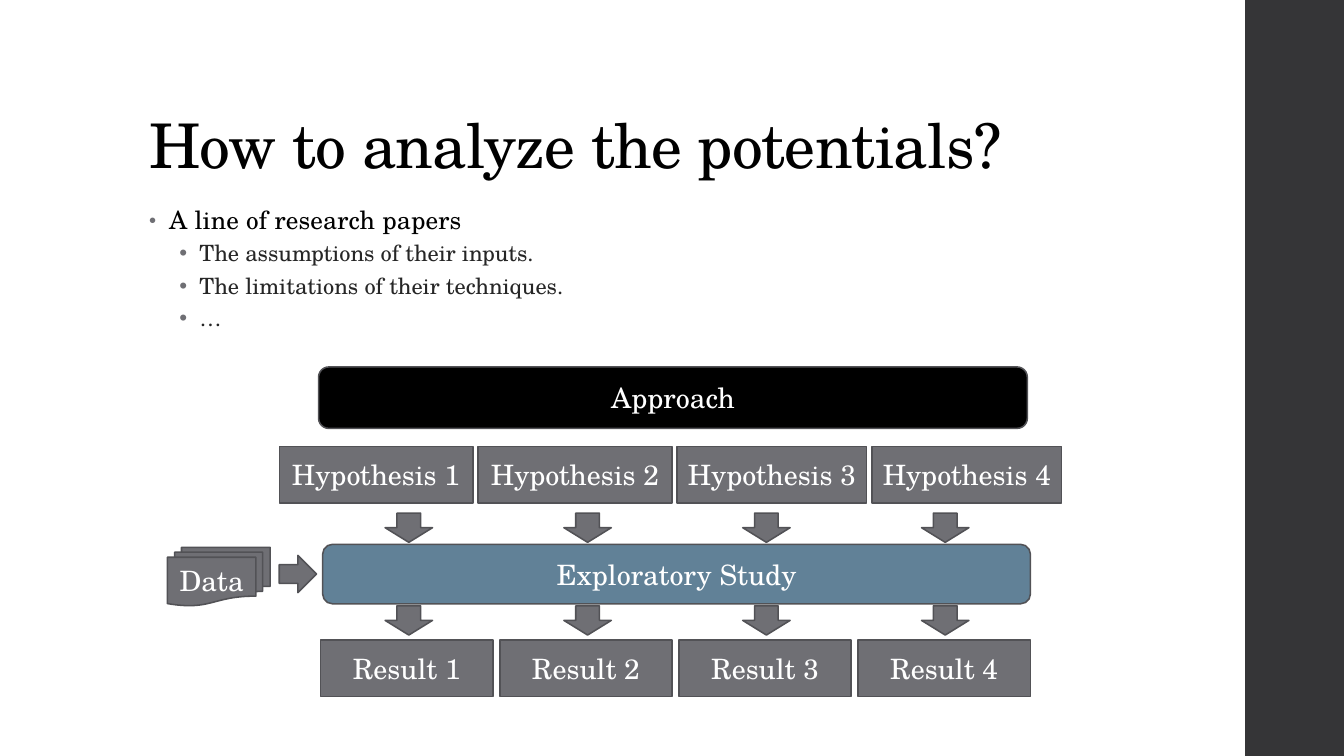
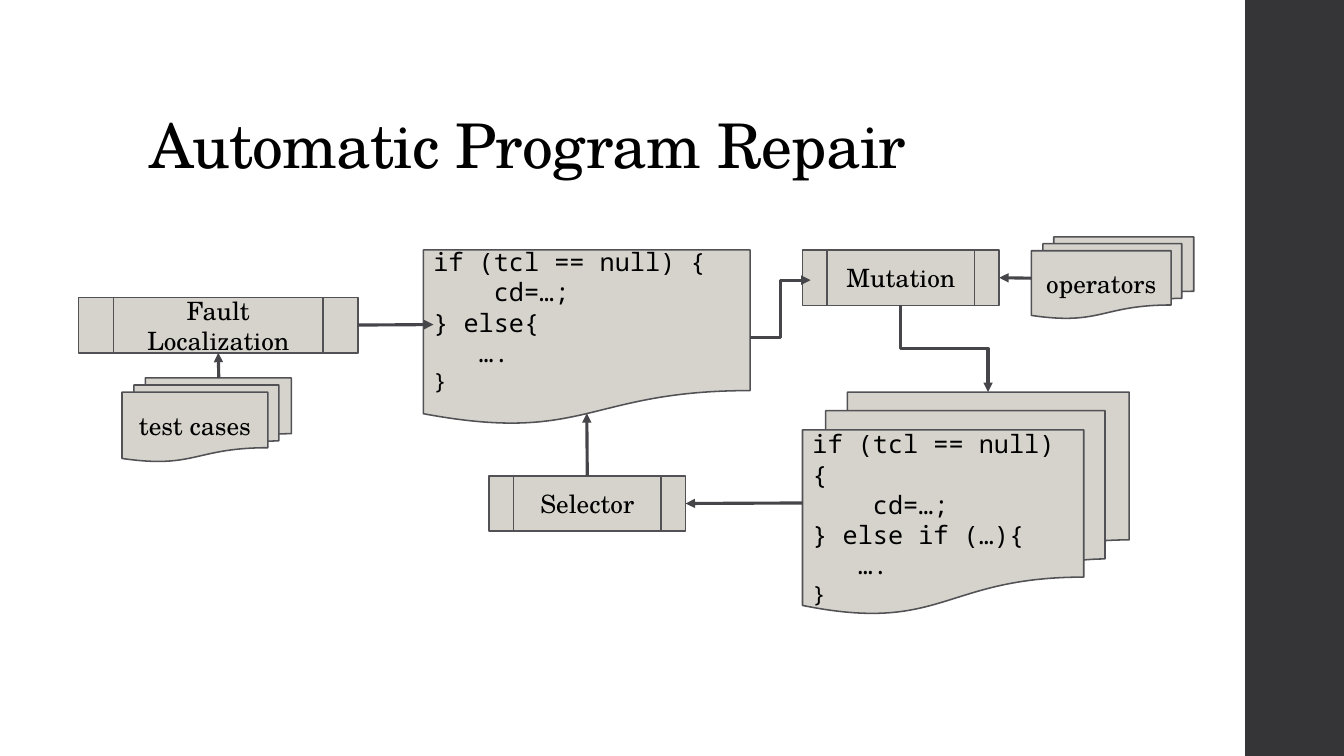
from dataclasses import dataclass

from lxml import etree
from pptx import Presentation
from pptx.dml.color import RGBColor
from pptx.enum.shapes import MSO_CONNECTOR, MSO_SHAPE
from pptx.enum.text import MSO_ANCHOR, MSO_AUTO_SIZE, PP_ALIGN
from pptx.oxml.ns import qn
from pptx.util import Pt

PX = 9144
TITLE_ONLY = 5
LEFT, CENTER = PP_ALIGN.LEFT, PP_ALIGN.CENTER
MIDDLE, BOTTOM, TOP = MSO_ANCHOR.MIDDLE, MSO_ANCHOR.BOTTOM, MSO_ANCHOR.TOP
RECTANGLE = MSO_SHAPE.RECTANGLE
ROUNDED = MSO_SHAPE.ROUNDED_RECTANGLE
DOWN_ARROW, RIGHT_ARROW = MSO_SHAPE.DOWN_ARROW, MSO_SHAPE.RIGHT_ARROW
DOCUMENT = MSO_SHAPE.FLOWCHART_DOCUMENT
DOCUMENTS = MSO_SHAPE.FLOWCHART_MULTIDOCUMENT
PROCESS = MSO_SHAPE.FLOWCHART_PREDEFINED_PROCESS
STRAIGHT, ELBOW = MSO_CONNECTOR.STRAIGHT, MSO_CONNECTOR.ELBOW
SIDE_TOP, SIDE_BOTTOM, SIDE_RIGHT = 0, 2, 3


@dataclass(frozen=True)
class Theme:
    serif: str = "TeX Gyre Schola"
    mono: str = "Noto Sans Mono"
    black: str = "000000"
    white: str = "FFFFFF"
    band: str = "353537"
    gray: str = "6F6F74"
    blue: str = "618197"
    paper: str = "D6D3CC"
    detail: str = "262626"
    outline: str = "525256"
    connector: str = "46464A"
    title_size: int = 44
    box_size: int = 20
    text_size: int = 18
    small_size: int = 16
    outline_width: float = 1.1
    connector_width: float = 2.25


THEME = Theme()


def px(value):
    return round(value * PX)


def color(value):
    return RGBColor.from_string(value)


def set_attributes(target, values):
    for name, value in values.items():
        setattr(target, name, value)


def add_run(paragraph, text, size, ink, font=THEME.serif, spacing=0):
    run = paragraph.add_run()
    run.text = text
    set_attributes(run.font, {"name": font, "size": Pt(size)})
    run.font.color.rgb = color(ink)
    if spacing:
        run.font._element.set("spc", str(spacing))


def indent(paragraph, left, first=0):
    properties = paragraph._p.get_or_add_pPr()
    properties.set("marL", str(px(left)))
    properties.set("indent", str(px(first)))
    return properties


def next_paragraph(frame, index):
    return frame.add_paragraph() if index else frame.paragraphs[0]


def add_box(slide, kind, bounds, fill, outline=THEME.outline):
    shape = slide.shapes.add_shape(kind, *map(px, bounds))
    shape.shadow.inherit = False
    shape.fill.solid()
    shape.fill.fore_color.rgb = color(fill)
    if outline:
        shape.line.color.rgb = color(outline)
        shape.line.width = Pt(THEME.outline_width)
    else:
        shape.line.fill.background()
    return shape


def add_label_box(slide, kind, bounds, text, fill=THEME.gray, ink=THEME.white, size=THEME.box_size):
    shape = add_box(slide, kind, bounds, fill)
    set_attributes(shape.text_frame, {"word_wrap": True, "vertical_anchor": MIDDLE})
    paragraph = shape.text_frame.paragraphs[0]
    paragraph.alignment = CENTER
    add_run(paragraph, text, size, ink)
    return shape


def add_flow_box(slide, kind, bounds, text):
    return add_label_box(slide, kind, bounds, text, THEME.paper, THEME.black, THEME.text_size)


def add_code_box(slide, kind, bounds, lines):
    shape = add_box(slide, kind, bounds, THEME.paper)
    frame = shape.text_frame
    set_attributes(frame, {"word_wrap": True, "vertical_anchor": MIDDLE})
    for index, (left, text, size) in enumerate(lines):
        paragraph = next_paragraph(frame, index)
        paragraph.alignment = LEFT
        indent(paragraph, left)
        add_run(paragraph, text, size, THEME.black, THEME.mono)


def add_row(slide, kind, span, top, height, widths, labels=None):
    left, right = span
    gap = (right - left - sum(widths)) / (len(widths) - 1)
    for index, width in enumerate(widths):
        bounds = (left, top, width, height)
        if labels:
            add_label_box(slide, kind, bounds, labels[index])
        else:
            add_box(slide, kind, bounds, THEME.gray)
        left += width + gap


def add_arrow(slide, start, end, kind=STRAIGHT, source=None, target=None):
    connector = slide.shapes.add_connector(kind, *map(px, start + end))
    if source:
        connector.begin_connect(*source)
    if target:
        connector.end_connect(*target)
    connector.line.color.rgb = color(THEME.connector)
    connector.line.width = Pt(THEME.connector_width)
    line = connector.line._get_or_add_ln()
    etree.SubElement(line, qn("a:tailEnd"), type="triangle")
    etree.SubElement(connector._element.spPr, qn("a:effectLst"))
    return connector


def add_vertical_elbow(slide, start, end):
    center_x, center_y = (start[0] + end[0]) / 2, (start[1] + end[1]) / 2
    half_x, half_y = (end[0] - start[0]) / 2, (end[1] - start[1]) / 2
    connector = add_arrow(
        slide,
        (center_x + half_y, center_y - half_x),
        (center_x - half_y, center_y + half_x),
        ELBOW,
    )
    connector._element.spPr.find(qn("a:xfrm")).set("rot", "16200000")


def add_bullets(slide, bounds, items):
    frame = slide.shapes.add_textbox(*map(px, bounds)).text_frame
    set_attributes(frame, {"word_wrap": True, "vertical_anchor": TOP})
    styles = (
        {"left": 20, "line": 0.95, "before": 0, "after": 2, "bullet": 80,
         "size": THEME.text_size, "ink": THEME.black, "spacing": 10},
        {"left": 50, "line": 0.9, "before": 3, "after": 3, "bullet": 100,
         "size": THEME.small_size, "ink": THEME.detail, "spacing": 0},
    )
    for index, (level, text) in enumerate(items):
        style = styles[level]
        paragraph = next_paragraph(frame, index)
        set_attributes(paragraph, {
            "level": level,
            "alignment": LEFT,
            "line_spacing": style["line"],
            "space_before": Pt(style["before"]),
            "space_after": Pt(style["after"]),
        })
        properties = indent(paragraph, style["left"], -20)
        bullet_color = etree.SubElement(properties, qn("a:buClr"))
        etree.SubElement(bullet_color, qn("a:srgbClr"), val=THEME.gray)
        etree.SubElement(properties, qn("a:buSzPct"), val=str(style["bullet"] * 1000))
        etree.SubElement(properties, qn("a:buFont"), typeface="Arial")
        etree.SubElement(properties, qn("a:buChar"), char="•")
        add_run(paragraph, text, style["size"], style["ink"], spacing=style["spacing"])


def add_titled_slide(presentation, text):
    slide = presentation.slides.add_slide(presentation.slide_layouts[TITLE_ONLY])
    title = slide.shapes.title
    bounds = zip(("left", "top", "width", "height"), map(px, (138, 40, 1060, 145)))
    set_attributes(title, dict(bounds))
    set_attributes(title.text_frame, {
        "word_wrap": True,
        "vertical_anchor": BOTTOM,
        "auto_size": MSO_AUTO_SIZE.NONE,
    })
    paragraph = title.text_frame.paragraphs[0]
    set_attributes(paragraph, {"alignment": LEFT, "line_spacing": 0.9})
    add_run(paragraph, text, THEME.title_size, THEME.black, spacing=-50)
    return slide


def move_band_to_layout(slide):
    band = add_box(slide, RECTANGLE, (1235, 0, 98, 750), THEME.band, None)
    slide.slide_layout.shapes._spTree.append(band._element)


def build_potentials(presentation):
    slide = add_titled_slide(presentation, "How to analyze the potentials?")
    move_band_to_layout(slide)
    add_bullets(slide, (138, 200, 940, 150), (
        (0, "A line of research papers"),
        (1, "The assumptions of their inputs."),
        (1, "The limitations of their techniques."),
        (1, "…"),
    ))
    add_label_box(slide, ROUNDED, (316, 364, 703, 61), "Approach", THEME.black)
    numbers = range(1, 5)
    add_row(slide, RECTANGLE, (277, 1053), 443, 56, (192, 192, 188, 188),
            [f"Hypothesis {number}" for number in numbers])
    add_label_box(slide, ROUNDED, (320, 540, 702, 59), "Exploratory Study", THEME.blue)
    for top in (509, 601):
        add_row(slide, DOWN_ARROW, (382, 961), top, 29, (47,) * 4)
    add_row(slide, RECTANGLE, (318, 1022), 635, 56, (171,) * 4,
            [f"Result {number}" for number in numbers])
    add_label_box(slide, DOCUMENTS, (166, 543, 102, 58), "Data")
    add_box(slide, RIGHT_ARROW, (277, 551, 37, 37), THEME.gray)


def build_repair(presentation):
    slide = add_titled_slide(presentation, "Automatic Program Repair")
    opening = (0, "if (tcl == null) {", THEME.text_size)
    assignment = (60, "cd=…;", THEME.text_size)
    ending = ((45, "….", THEME.text_size), (0, "}", THEME.small_size))
    add_code_box(slide, DOCUMENT, (420, 248, 324, 174),
                 (opening, assignment, (0, "} else{", THEME.text_size), *ending))
    add_code_box(slide, DOCUMENTS, (796, 389, 324, 220),
                 (opening, assignment, (0, "} else if (…){", THEME.text_size), *ending))
    localization = add_flow_box(slide, PROCESS, (78, 295, 277, 55), "Fault Localization")
    mutation = add_flow_box(slide, PROCESS, (796, 248, 195, 55), "Mutation")
    selector = add_flow_box(slide, PROCESS, (485, 472, 195, 55), "Selector")
    add_flow_box(slide, DOCUMENTS, (121, 375, 168, 83), "test cases")
    add_flow_box(slide, DOCUMENTS, (1023, 235, 161, 81), "operators")

    add_arrow(slide, (355, 322), (430, 322), source=(localization, SIDE_RIGHT))
    add_arrow(slide, (217, 375), (217, 350), target=(localization, SIDE_BOTTOM))
    add_arrow(slide, (1023, 276), (991, 276), target=(mutation, SIDE_RIGHT))
    add_arrow(slide, (796, 499), (680, 499), target=(selector, SIDE_RIGHT))
    add_arrow(slide, (582, 472), (582, 410), source=(selector, SIDE_TOP))
    add_arrow(slide, (744, 335), (804, 278), ELBOW)
    add_vertical_elbow(slide, (893, 303), (980, 389))


def main():
    presentation = Presentation()
    set_attributes(presentation, {"slide_width": px(1333), "slide_height": px(750)})
    build_potentials(presentation)
    build_repair(presentation)
    presentation.save("out.pptx")


if __name__ == "__main__":
    main()
